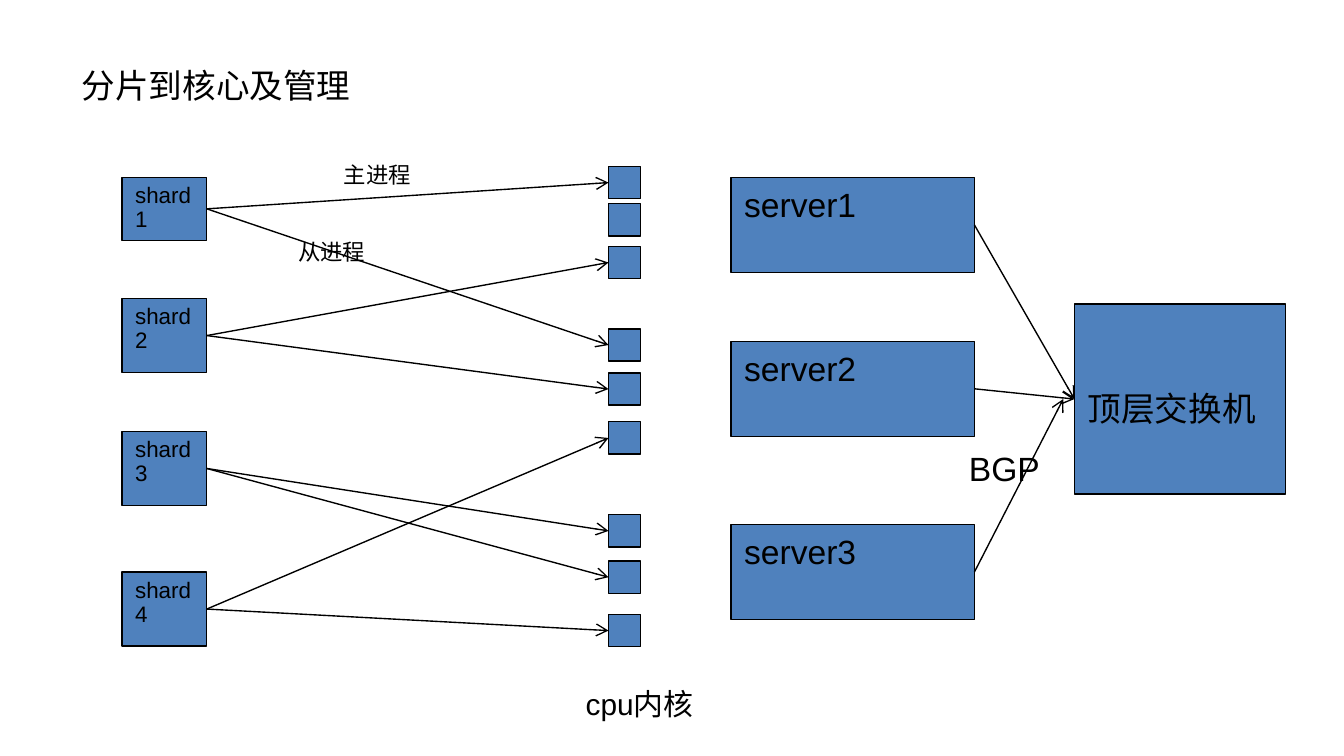
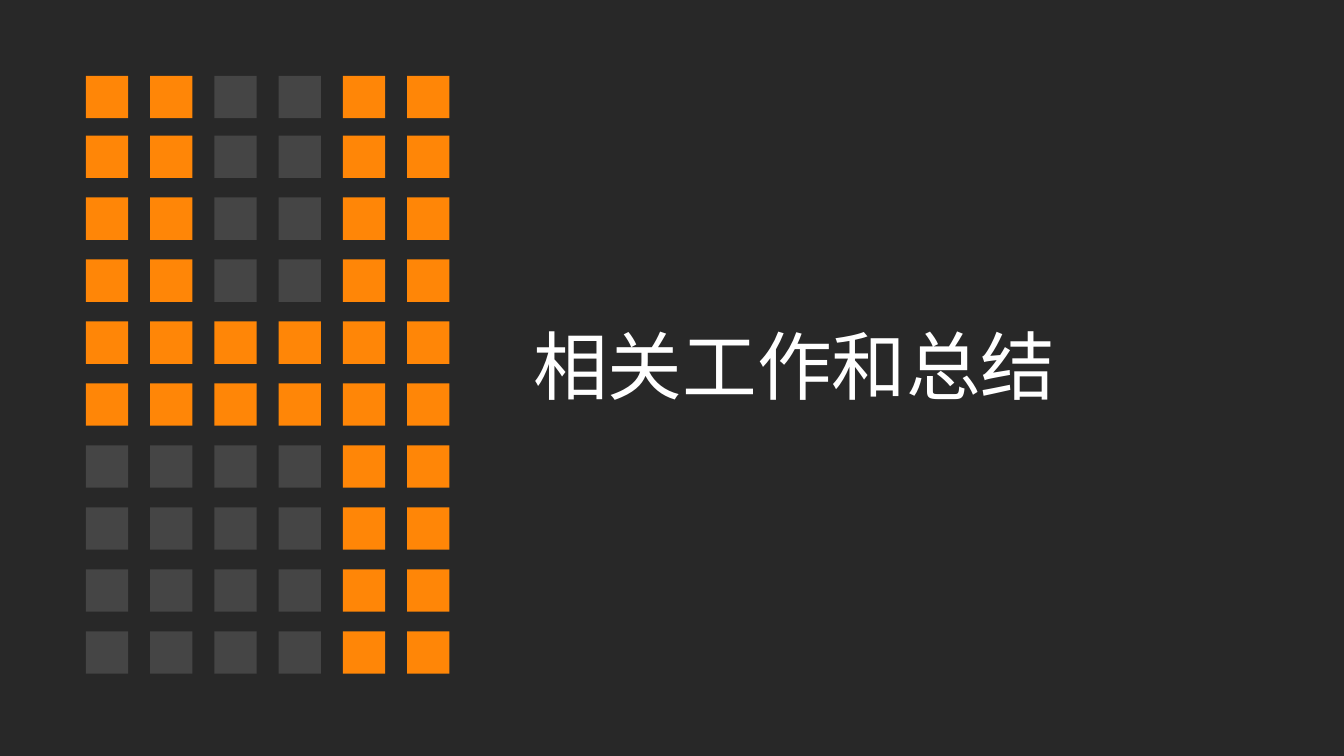
from dataclasses import dataclass
from typing import Any, Optional

from lxml import etree
from pptx import Presentation
from pptx import util as u
from pptx.dml.color import RGBColor
from pptx.enum import shapes, text
from pptx.oxml.ns import qn


@dataclass(frozen=True)
class Theme:
    ink: str = "000000"
    node: str = "4F81BD"
    night: str = "282828"
    unlit: str = "454545"
    lit: str = "FF8607"
    white: str = "FFFFFF"
    latin: str = "Arial"
    han: str = "Noto Sans CJK SC"
    small: float = 12
    medium: float = 16
    large: float = 18
    section: float = 40
    line: float = 0.75


THEME = Theme()
SLIDE_WIDTH, SLIDE_HEIGHT = 720, 405


@dataclass(frozen=True)
class Box:
    left: float
    top: float
    width: float
    height: float

    def lengths(self) -> tuple[u.Length, ...]:
        return tuple(u.Pt(v) for v in (self.left, self.top, self.width, self.height))


@dataclass(frozen=True)
class Caption:
    words: str
    size: float
    colour: str = THEME.ink
    font: str = THEME.latin
    spacing: float = 1.0
    top_inset: float = 3.6


@dataclass(frozen=True)
class Shard:
    name: str
    top: float
    height: float
    cores: tuple[int, int]


SHARDS = (
    Shard("shard1", 95, 33.8, (0, 3)),
    Shard("shard2", 160, 39.6, (2, 4)),
    Shard("shard3", 231.2, 39.6, (6, 7)),
    Shard("shard4", 306.5, 39.6, (5, 8)),
)
CORE_TOPS = (89.2, 109.2, 132, 176.2, 199.8, 226, 275.8, 300.6, 329.2)
SERVER_TOPS = (95, 182.8, 281)
LABELS = (
    (Box(36.7, 31, 219, 28.8), Caption("分片到核心及管理", THEME.large)),
    (Box(306.7, 363.6, 77, 26.6), Caption("cpu内核", THEME.medium)),
    (Box(177.1, 82.8, 74.2, 21.6), Caption("主进程", THEME.small)),
    (Box(152.6, 124, 75.6, 21.6), Caption("从进程", THEME.small)),
    (Box(512, 236.2, 57.6, 28.8), Caption("BGP", THEME.large)),
)
DIGIT_ROWS = ("##..##",) * 4 + ("######",) * 2 + ("....##",) * 4


def apply_format(target: Any, values: dict[str, Any]) -> None:
    for name, value in values.items():
        setattr(target, name, value)


def write_caption(shape: Any, caption: Caption) -> None:
    frame = shape.text_frame
    apply_format(frame, {
        "word_wrap": True,
        "vertical_anchor": text.MSO_ANCHOR.TOP,
        "margin_left": u.Pt(7.2),
        "margin_right": u.Pt(7.2),
        "margin_top": u.Pt(caption.top_inset),
        "margin_bottom": u.Pt(3.6),
    })
    paragraph = frame.paragraphs[0]
    apply_format(paragraph, {
        "alignment": text.PP_ALIGN.LEFT,
        "line_spacing": caption.spacing,
    })
    run = paragraph.add_run()
    run.text = caption.words
    apply_format(run.font, {"size": u.Pt(caption.size), "name": caption.font})
    run.font.color.rgb = RGBColor.from_string(caption.colour)
    east_asian = etree.SubElement(run.font._element, qn("a:ea"))
    east_asian.set("typeface", THEME.han)


def draw_label(slide: Any, box: Box, caption: Caption) -> None:
    write_caption(slide.shapes.add_textbox(*box.lengths()), caption)


def draw_rectangle(parent: Any, box: Box, fill: str, outline: Optional[str] = None) -> Any:
    rectangle = parent.shapes.add_shape(shapes.MSO_SHAPE.RECTANGLE, *box.lengths())
    rectangle.shadow.inherit = False
    rectangle.fill.solid()
    rectangle.fill.fore_color.rgb = RGBColor.from_string(fill)
    if outline:
        rectangle.line.color.rgb = RGBColor.from_string(outline)
        rectangle.line.width = u.Pt(THEME.line)
    else:
        rectangle.line.fill.background()
    return rectangle


def draw_node(slide: Any, box: Box, caption: Optional[Caption] = None) -> Any:
    node = draw_rectangle(slide, box, THEME.node, THEME.ink)
    if caption:
        write_caption(node, caption)
    return node


def draw_arrow(slide: Any, source: Any, target: Any, gap: float = 0) -> None:
    arrow = slide.shapes.add_connector(
        shapes.MSO_CONNECTOR.STRAIGHT,
        source.left + source.width,
        source.top + source.height // 2,
        target.left - u.Pt(gap),
        target.top + target.height // 2,
    )
    arrow.begin_connect(source, 3)
    if not gap:
        arrow.end_connect(target, 1)
    arrow.line.color.rgb = RGBColor.from_string(THEME.ink)
    arrow.line.width = u.Pt(THEME.line)
    etree.SubElement(arrow.line._get_or_add_ln(), qn("a:tailEnd")).set("type", "arrow")
    etree.SubElement(arrow._element.spPr, qn("a:effectLst"))


def build_sharding(slide: Any) -> None:
    cores = [draw_node(slide, Box(326, top, 17.3, 17.3)) for top in CORE_TOPS]
    for shard in SHARDS:
        process = draw_node(
            slide,
            Box(65.3, shard.top, 45.5, shard.height),
            Caption(shard.name, THEME.small, spacing=0.9),
        )
        for core in shard.cores:
            draw_arrow(slide, process, cores[core])

    switch = draw_node(
        slide,
        Box(575.6, 162.8, 113.2, 102),
        Caption("顶层交换机", THEME.large, top_inset=45),
    )
    arrow_gaps = (0, 0, 6)
    for number, (top, gap) in enumerate(zip(SERVER_TOPS, arrow_gaps), start=1):
        server = draw_node(
            slide,
            Box(391.6, top, 130.4, 51),
            Caption(f"server{number}", THEME.large),
        )
        draw_arrow(slide, server, switch, gap)

    for box, caption in LABELS:
        draw_label(slide, box, caption)


def build_section(slide: Any) -> None:
    draw_rectangle(slide, Box(0, 0, SLIDE_WIDTH, SLIDE_HEIGHT), THEME.night)
    draw_label(
        slide,
        Box(278.6, 167.8, 442.8, 55.4),
        Caption("相关工作和总结", THEME.section, THEME.white, THEME.han),
    )
    tile, column_step, row_step = 22.7, 34.42, 33.2
    left, first_top, second_top = 46, 40.6, 72.6
    for mark, colour in ((".", THEME.unlit), ("#", THEME.lit)):
        tiles = slide.shapes.add_group_shape()
        for row, marks in enumerate(DIGIT_ROWS):
            top = second_top + (row - 1) * row_step if row else first_top
            for column, cell in enumerate(marks):
                if cell == mark:
                    place = Box(left + column * column_step, top, tile, tile)
                    draw_rectangle(tiles, place, colour)


def main() -> None:
    deck = Presentation()
    apply_format(deck, {
        "slide_width": u.Pt(SLIDE_WIDTH),
        "slide_height": u.Pt(SLIDE_HEIGHT),
    })
    blank = deck.slide_layouts[6]
    for build in (build_sharding, build_section):
        build(deck.slides.add_slide(blank))
    deck.save("out.pptx")


if __name__ == "__main__":
    main()
